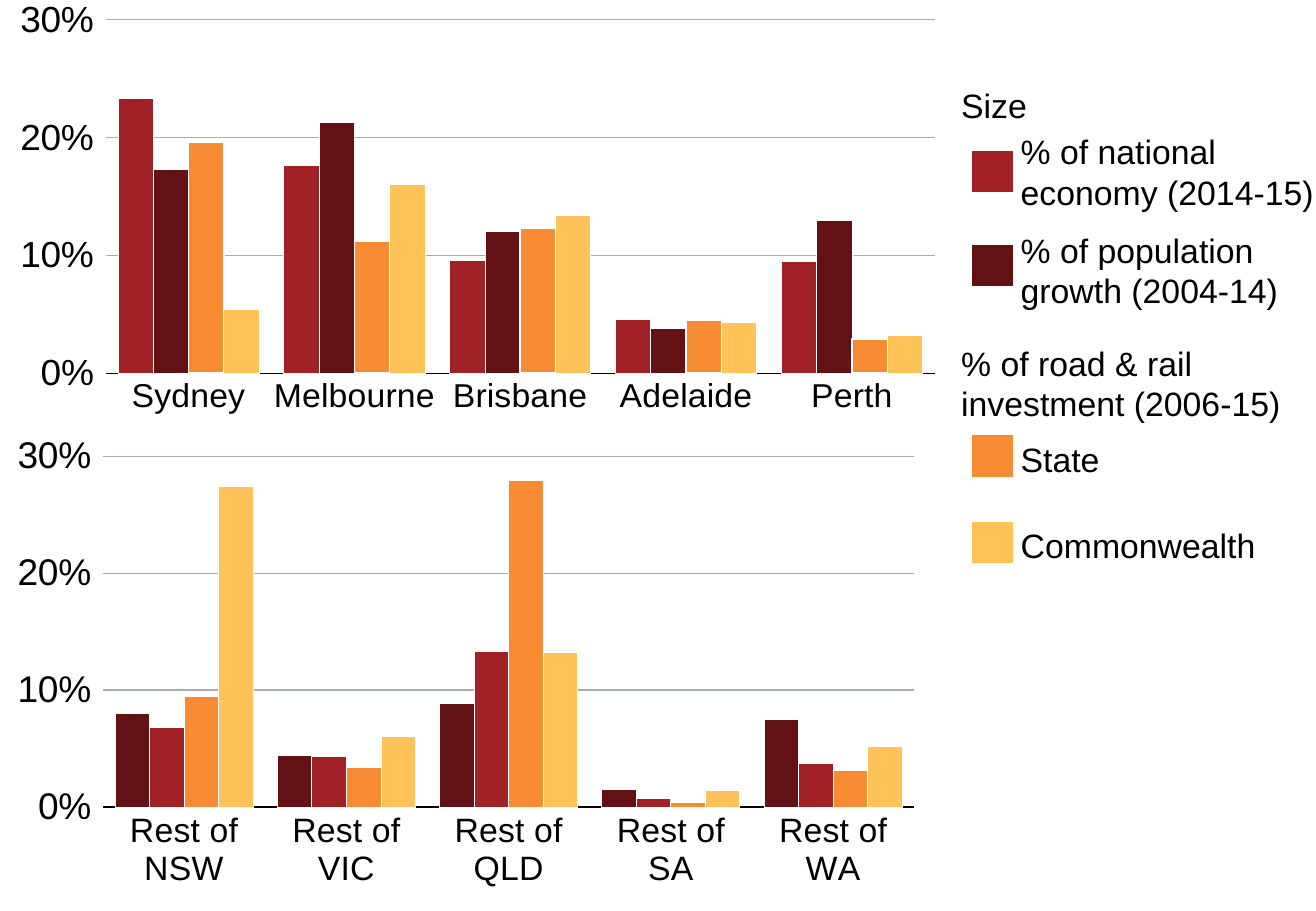
import dataclasses

import pptx
import pptx.chart.data
import pptx.dml.color
import pptx.enum.chart
import pptx.enum.shapes
import pptx.enum.text
import pptx.oxml
import pptx.oxml.ns
import pptx.util


@dataclasses.dataclass(frozen=True)
class Theme:
    font: str = "Arial"
    text: str = "000000"
    paper: str = "FFFFFF"
    grid: str = "A4ABB1"
    economy: str = "A02226"
    growth: str = "621214"
    state: str = "F68B33"
    commonwealth: str = "FFC35A"
    label_size: int = 20
    value_size: int = 22
    hairline: float = 0.75


THEME = Theme()
SLIDE_W, SLIDE_H = 10.83, 7.5

CHARTS = [
    {
        "at": (0, 0, 71.1, 50),
        "plot": (11.3, 2.4, 88.7, 79.2),
        "cats": ["Sydney", "Melbourne", "Brisbane", "Adelaide", "Perth"],
        "series": [
            (THEME.economy, 0.5, [0.233, 0.176, 0.096, 0.046, 0.095]),
            (THEME.growth, 0.5, [0.173, 0.213, 0.12, 0.038, 0.13]),
            (THEME.state, 1, [0.196, 0.112, 0.123, 0.045, 0.029]),
            (THEME.commonwealth, 0.5, [0.054, 0.16, 0.134, 0.043, 0.032]),
        ],
    },
    {
        "at": (0, 47.73, 71.19, 52.27),
        "plot": (11, 4.5, 86.6, 73.7),
        "cats": ["Rest of NSW", "Rest of VIC", "Rest of QLD", "Rest of\nSA", "Rest of\nWA"],
        "series": [
            (THEME.growth, 0.5, [0.08, 0.044, 0.089, 0.015, 0.075]),
            (THEME.economy, 0.5, [0.068, 0.043, 0.133, 0.007, 0.037]),
            (THEME.state, 0.5, [0.095, 0.034, 0.279, 0.004, 0.031]),
            (THEME.commonwealth, 0.5, [0.274, 0.06, 0.132, 0.014, 0.052]),
        ],
    },
]

HEADING_X, SWATCH_X, ENTRY_X = 73.04, 73.78, 77.56
LINE_H, SWATCH_W, SWATCH_H = 4.47, 3.23, 4.67
LEGEND_TEXTS = [
    ("Size", HEADING_X, 9.33, 23.08, 1),
    ("% of national economy (2014-15)", ENTRY_X, 14.4, 22.44, 2),
    ("% of population growth (2004-14)", ENTRY_X, 25.2, 19.67, 2),
    ("% of road & rail investment (2006-15)", HEADING_X, 37.6, 26.96, 2),
    ("State", ENTRY_X, 48.13, 19.67, 1),
    ("Commonwealth", ENTRY_X, 57.6, 19.67, 1),
]
SWATCHES = [
    (THEME.economy, 16.53),
    (THEME.growth, 26.8),
    (THEME.state, 47.73),
    (THEME.commonwealth, 57.2),
]


def place(x, y, w, h):
    shares = ((x, SLIDE_W), (y, SLIDE_H), (w, SLIDE_W), (h, SLIDE_H))
    return [pptx.util.Inches(share * size / 100) for share, size in shares]


def rgb(color):
    return pptx.dml.color.RGBColor.from_string(color)


def set_font(font, size):
    font.name = THEME.font
    font.size = pptx.util.Pt(size)
    font.color.rgb = rgb(THEME.text)


def set_line(line, color, width):
    line.color.rgb = rgb(color)
    line.width = pptx.util.Pt(width)


def add_box(slide, at, fill):
    sp = slide.shapes.add_shape(pptx.enum.shapes.MSO_SHAPE.RECTANGLE, *place(*at))
    sp.shadow.inherit = False
    sp.fill.solid()
    sp.fill.fore_color.rgb = rgb(fill)
    sp.line.fill.background()
    return sp


def add_text(slide, text, *, at, size):
    tf = add_box(slide, at, THEME.paper).text_frame
    tf.margin_left = tf.margin_top = tf.margin_right = tf.margin_bottom = 0
    tf.word_wrap = True
    tf.auto_size = pptx.enum.text.MSO_AUTO_SIZE.SHAPE_TO_FIT_TEXT
    tf.vertical_anchor = pptx.enum.text.MSO_ANCHOR.TOP
    p = tf.paragraphs[0]
    p.alignment = pptx.enum.text.PP_ALIGN.LEFT
    r = p.add_run()
    r.text = text
    set_font(r.font, size)


def set_plot_layout(chart, plot):
    area = chart.plots[0]._element.getparent()
    for old in area.findall(pptx.oxml.ns.qn("c:layout")):
        area.remove(old)
    settings = [("layoutTarget", "inner"), ("xMode", "edge"), ("yMode", "edge")]
    settings += [(tag, share / 100) for tag, share in zip("xywh", plot)]
    parts = "".join(f'<c:{tag} val="{val}"/>' for tag, val in settings)
    ns = pptx.oxml.ns.nsdecls("c")
    area.insert(0, pptx.oxml.parse_xml(
        f"<c:layout {ns}><c:manualLayout>{parts}</c:manualLayout></c:layout>"))


def add_columns(slide, at, plot, cats, series):
    data = pptx.chart.data.CategoryChartData(number_format="0%")
    data.categories = cats
    for number, (_, _, values) in enumerate(series, 1):
        data.add_series(f"Series {number}", values)
    kind = pptx.enum.chart.XL_CHART_TYPE.COLUMN_CLUSTERED
    chart = slide.shapes.add_chart(kind, *place(*at), data).chart
    chart.has_title = False
    chart.has_legend = False
    set_font(chart.font, THEME.label_size)

    columns = chart.plots[0]
    columns.gap_width = 70
    columns.overlap = 0
    columns.vary_by_categories = False
    for s, (color, width, _) in zip(columns.series, series):
        s.invert_if_negative = False
        s.format.fill.solid()
        s.format.fill.fore_color.rgb = rgb(color)
        set_line(s.format.line, THEME.paper, width)

    tick = pptx.enum.chart.XL_TICK_MARK
    cat = chart.category_axis
    cat.major_tick_mark = tick.NONE
    set_font(cat.tick_labels.font, THEME.label_size)
    set_line(cat.format.line, THEME.text, THEME.hairline)

    val = chart.value_axis
    val.minimum_scale, val.maximum_scale, val.major_unit = 0, 0.3, 0.1
    val.major_tick_mark = tick.OUTSIDE
    val.format.line.fill.background()
    val.tick_labels.number_format = "0%"
    val.tick_labels.number_format_is_linked = False
    set_font(val.tick_labels.font, THEME.value_size)
    set_line(val.major_gridlines.format.line, THEME.grid, THEME.hairline)
    set_plot_layout(chart, plot)


def main():
    prs = pptx.Presentation()
    prs.slide_width = pptx.util.Inches(SLIDE_W)
    prs.slide_height = pptx.util.Inches(SLIDE_H)
    slide = prs.slides.add_slide(prs.slide_layouts[6])
    for chart in CHARTS:
        add_columns(slide, **chart)
    for text, x, y, w, lines in LEGEND_TEXTS:
        add_text(slide, text, at=(x, y, w, lines * LINE_H), size=THEME.label_size)
    for color, y in SWATCHES:
        sp = add_box(slide, (SWATCH_X, y, SWATCH_W, SWATCH_H), color)
        set_line(sp.line, THEME.paper, THEME.hairline)
    prs.save("out.pptx")


if __name__ == "__main__":
    main()
